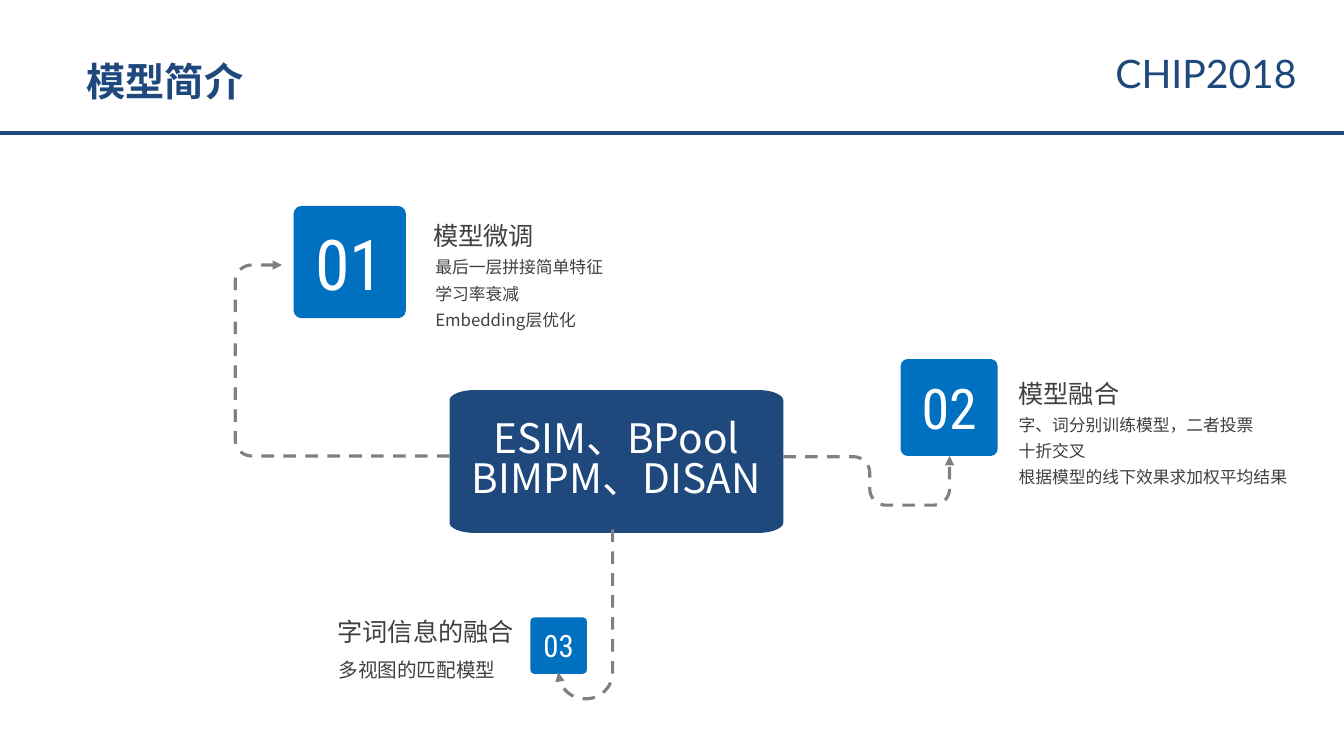
import math
from dataclasses import dataclass

import pptx
import pptx.dml.color
import pptx.enum.dml
import pptx.enum.shapes
import pptx.enum.text
import pptx.oxml
import pptx.oxml.ns
import pptx.util
from pptx.util import Cm

ALIGN = pptx.enum.text.PP_ALIGN
ANCHOR = pptx.enum.text.MSO_ANCHOR
AUTO_SIZE = pptx.enum.text.MSO_AUTO_SIZE


@dataclass(frozen=True)
class Theme:
    navy: str = "1F497D"
    blue: str = "0070C0"
    grey: str = "808080"
    ink: str = "404040"
    white: str = "FFFFFF"
    chinese: str = "Noto Sans CJK SC"
    latin: str = "Lato"
    digits: str = "Roboto Condensed"
    title: int = 28
    core: int = 29
    heading: int = 18
    body: int = 12


def rounded(points, across, down):
    """Points of a right-angled route whose corners become elliptical arcs."""
    route = [points[0]]
    for before, corner, after in zip(points, points[1:], points[2:]):
        arms = []
        for end in (before, after):
            dx, dy = end[0] - corner[0], end[1] - corner[1]
            arms.append((math.copysign(across, dx) if dx else 0,
                         math.copysign(down, dy) if dy else 0))
        for step in range(13):
            angle = math.pi / 2 * step / 12
            come, leave = 1 - math.sin(angle), 1 - math.cos(angle)
            route.append(tuple(corner[i] + arms[0][i] * come + arms[1][i] * leave
                               for i in (0, 1)))
    return route + [points[-1]]


class Painter:
    def __init__(self, page, theme):
        self.page = page
        self.theme = theme

    def color(self, value):
        return pptx.dml.color.RGBColor.from_string(value)

    def set_text(self, frame, lines, size, color, font, align=ALIGN.LEFT,
                 spacing=1.0, bold=False):
        frame.word_wrap = True
        frame.text = "\n".join(lines)
        for para in frame.paragraphs:
            para.alignment = align
            para.line_spacing = spacing
            para.font.size = pptx.util.Pt(size)
            para.font.bold = bold
            para.font.color.rgb = self.color(color)
            para.font.name = font
            # East Asian glyphs need their own typeface entry
            latin = para._p.find(".//" + pptx.oxml.ns.qn("a:latin"))
            latin.addnext(pptx.oxml.parse_xml(
                f'<a:ea {pptx.oxml.ns.nsdecls("a")} typeface="{font}"/>'))

    def title(self, text, left, top, width, height):
        box = self.page.shapes.title
        box.left, box.top, box.width, box.height = map(Cm, (left, top, width, height))
        box.text_frame.auto_size = AUTO_SIZE.NONE
        box.text_frame.vertical_anchor = ANCHOR.TOP
        self.set_text(box.text_frame, [text], self.theme.title, self.theme.navy,
                      self.theme.chinese, bold=True)

    def text(self, lines, left, top, width, height, size, color, font,
             inset=0.13, **style):
        box = self.page.shapes.add_textbox(*map(Cm, (left, top, width, height)))
        frame = box.text_frame
        frame.margin_top = frame.margin_bottom = Cm(inset)
        self.set_text(frame, lines, size, color, font, **style)
        frame.auto_size = AUTO_SIZE.SHAPE_TO_FIT_TEXT

    def heading(self, text, left, top, width, align=ALIGN.LEFT):
        self.text([text], left, top, width, 1.02, self.theme.heading,
                  self.theme.ink, self.theme.chinese, inset=0, align=align, spacing=1.5)

    def body(self, lines, left, top, width, size):
        self.text(lines, left, top, width, 1 + 0.6 * (len(lines) - 1), size,
                  self.theme.ink, self.theme.chinese, spacing=1.3)

    def rule(self, y, width):
        line = self.page.shapes.add_connector(
            pptx.enum.shapes.MSO_CONNECTOR.STRAIGHT, 0, Cm(y), width, Cm(y))
        line.line.color.rgb = self.color(self.theme.navy)
        line.line.width = pptx.util.Pt(3.5)
        line._element.spPr.append(pptx.oxml.parse_xml(
            f'<a:effectLst {pptx.oxml.ns.nsdecls("a")}/>'))

    def outline(self, route, close):
        ends = [(Cm(x), Cm(y)) for x, y in route]
        builder = self.page.shapes.build_freeform(*ends[0])
        builder.add_line_segments(ends[1:], close=close)
        shape = builder.convert_to_shape()
        shape.shadow.inherit = False
        return shape

    def label(self, shape, lines, fill, size, font, spacing=1.0):
        shape.shadow.inherit = False
        shape.fill.solid()
        shape.fill.fore_color.rgb = self.color(fill)
        shape.line.fill.background()
        frame = shape.text_frame
        frame.margin_left = frame.margin_right = 0
        frame.margin_top = frame.margin_bottom = 0
        frame.vertical_anchor = ANCHOR.MIDDLE
        self.set_text(frame, lines, size, self.theme.white, font, ALIGN.CENTER, spacing)

    def core(self, lines, left, top, width, height):
        right, bottom, middle = left + width, top + height, left + width / 2
        corners = [(middle, top), (right, top), (right, bottom),
                   (left, bottom), (left, top), (middle, top)]
        shape = self.outline(rounded(corners, 0.64, 0.26), close=True)
        self.label(shape, lines, self.theme.navy, self.theme.core,
                   self.theme.chinese, spacing=0.83)

    def number(self, text, left, top, side, size):
        tile = self.page.shapes.add_shape(
            pptx.enum.shapes.MSO_SHAPE.ROUNDED_RECTANGLE,
            *map(Cm, (left, top, side, side)))
        tile.adjustments[0] = 0.07
        self.label(tile, [text], self.theme.blue, size, self.theme.digits)

    def arrow(self, points, radius):
        shape = self.outline(rounded(points, radius, radius), close=False)
        shape.fill.background()
        shape.line.color.rgb = self.color(self.theme.grey)
        shape.line.width = pptx.util.Pt(2.25)
        shape.line.dash_style = pptx.enum.dml.MSO_LINE.DASH
        shape.line._get_or_add_ln().append(pptx.oxml.parse_xml(
            f'<a:tailEnd {pptx.oxml.ns.nsdecls("a")} type="triangle"/>'))


def main():
    deck = pptx.Presentation()
    deck.slide_width, deck.slide_height = Cm(33.87), Cm(19.05)
    theme = Theme()
    painter = Painter(deck.slides.add_slide(deck.slide_layouts[5]), theme)

    # Header
    painter.rule(3.35, deck.slide_width)
    painter.text(["CHIP2018"], 27.86, 1.12, 6, 1.45, theme.title, theme.navy, theme.latin)
    painter.title("模型简介", 1.93, 1.32, 7.6, 1.45)

    # Core models and numbered tiles
    painter.core(["ESIM、BPool", "BIMPM、DISAN"], 11.33, 9.83, 8.41, 3.6)
    painter.number("01", 7.4, 5.19, 2.83, 50)
    painter.number("02", 22.7, 9.05, 2.44, 40)
    painter.number("03", 13.37, 15.56, 1.42, 22)

    # Dashed arrows from the core to the tiles
    painter.arrow([(11.33, 11.49), (5.93, 11.49), (5.93, 6.68), (7.11, 6.68)], 0.41)
    painter.arrow([(19.74, 11.51), (21.92, 11.51), (21.92, 12.73),
                   (23.93, 12.73), (23.93, 11.49)], 0.41)
    painter.arrow([(15.44, 13.34), (15.44, 17.61), (14.07, 17.61), (14.07, 16.94)], 0.67)

    # Explanations
    painter.heading("模型微调", 9.93, 5.18, 4.52, ALIGN.CENTER)
    painter.body(["最后一层拼接简单特征", "学习率衰减", "Embedding层优化"],
                 10.72, 6.2, 10.16, theme.body)
    painter.heading("模型融合", 25.42, 9.14, 4.52)
    painter.body(["字、词分别训练模型，二者投票", "十折交叉", "根据模型的线下效果求加权平均结果"],
                 25.42, 10.16, 8.2, theme.body)
    painter.heading("字词信息的融合", 8.18, 15.14, 5.1, ALIGN.CENTER)
    painter.body(["多视图的匹配模型"], 8.28, 16.26, 10.16, 14)

    deck.save("out.pptx")


if __name__ == "__main__":
    main()
